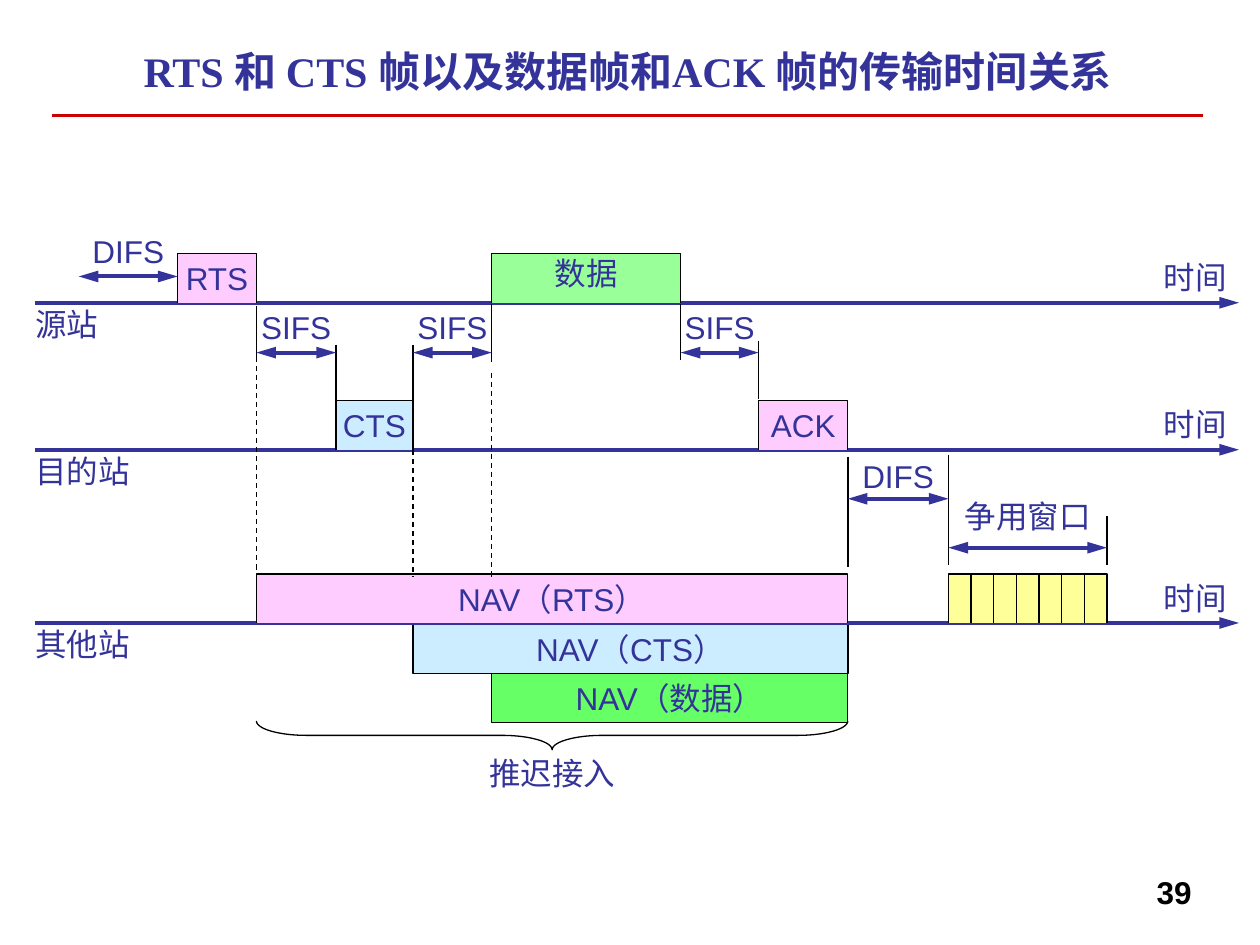
from dataclasses import dataclass

from lxml.etree import SubElement
from pptx import Presentation
from pptx.dml.color import RGBColor
from pptx.enum.dml import MSO_LINE
from pptx.enum.shapes import MSO_CONNECTOR, MSO_SHAPE
from pptx.enum.text import MSO_ANCHOR, PP_ALIGN
from pptx.oxml.ns import qn
from pptx.util import Pt


@dataclass(frozen=True)
class Theme:
    ink: str = "333399"
    black: str = "000000"
    rule: str = "CC0000"
    pink: str = "FFCCFF"
    blue: str = "CCECFF"
    pale_green: str = "99FF99"
    green: str = "66FF66"
    yellow: str = "FFFF99"
    title_font: str = "Times New Roman"
    body_font: str = "Arial"
    title_size: float = 24
    body_size: float = 18
    thin: float = 0.75
    rule_width: float = 2
    thick: float = 2.25


@dataclass(frozen=True)
class Moments:
    """Horizontal offsets of the events from the left end of the time axes."""
    difs: float = 25
    rts: float = 81.5
    rts_end: float = 126.5
    cts: float = 172
    cts_end: float = 216
    data: float = 261
    data_end: float = 369
    ack: float = 413.5
    ack_end: float = 464.5
    window: float = 522
    window_end: float = 612.5


@dataclass(frozen=True)
class Box:
    left: float
    top: float
    width: float
    height: float

    @property
    def right(self):
        return self.left + self.width

    @property
    def bottom(self):
        return self.top + self.height


THEME = Theme()
AT = Moments()
FRAME_HEIGHT = 28
LABEL_HEIGHT = 29
WINDOW_SLOTS = 7


def write(shape, text, align=PP_ALIGN.CENTER, font_name=THEME.body_font,
          size=THEME.body_size, color=THEME.ink, bold=False, wrap=False):
    frame = shape.text_frame
    frame.word_wrap = wrap
    frame.vertical_anchor = MSO_ANCHOR.MIDDLE
    frame.margin_left = frame.margin_right = 0
    frame.margin_top = frame.margin_bottom = 0
    paragraph = frame.paragraphs[0]
    paragraph.alignment = align
    run = paragraph.add_run()
    run.text = text
    run.font.name = font_name
    run.font.size = Pt(size)
    run.font.bold = bold
    run.font.color.rgb = RGBColor.from_string(color)


def add_text(slide, box, text, **style):
    shape = slide.shapes.add_textbox(Pt(box.left), Pt(box.top), Pt(box.width), Pt(box.height))
    write(shape, text, **style)


def add_line(slide, start, end, color=THEME.black, width=THEME.thin, dashed=False, heads=()):
    """Draw a line; heads names its arrow ends, headEnd before tailEnd."""
    line = slide.shapes.add_connector(
        MSO_CONNECTOR.STRAIGHT, *(Pt(value) for value in (*start, *end)))
    line.line.color.rgb = RGBColor.from_string(color)
    line.line.width = Pt(width)
    if dashed:
        line.line.dash_style = MSO_LINE.DASH
    for head in heads:
        SubElement(line.line._get_or_add_ln(), qn("a:" + head), type="triangle", w="med", len="lg")
    SubElement(line._element.spPr, qn("a:effectLst"))


def add_frame(slide, box, fill, text="", open_top=False, lift=0):
    """Draw a filled block whose side on the time axis has no line."""
    base, far = (box.top, box.bottom) if open_top else (box.bottom, box.top)
    builder = slide.shapes.build_freeform(Pt(box.left), Pt(base))
    corners = [(box.left, far), (box.right, far), (box.right, base)]
    builder.add_line_segments([(Pt(x), Pt(y)) for x, y in corners], close=False)
    shape = builder.convert_to_shape()
    shape.shadow.inherit = False
    shape.fill.solid()
    shape.fill.fore_color.rgb = RGBColor.from_string(fill)
    shape.line.color.rgb = RGBColor.from_string(THEME.black)
    shape.line.width = Pt(THEME.thin)
    if text:
        write(shape, text)
        shape.text_frame.margin_bottom = Pt(2 * lift)


def add_title(slide, box):
    add_text(slide, Box(box.left, box.top, box.width, box.height - 3.6),
             "RTS 和 CTS 帧以及数据帧和ACK 帧的传输时间关系",
             font_name=THEME.title_font, size=THEME.title_size, bold=True, wrap=True)
    add_line(slide, (box.left, box.bottom), (box.right, box.bottom),
             THEME.rule, THEME.rule_width)


def add_lane(slide, box, station, frames):
    """Draw a time axis along the box bottom, with its frames standing on it."""
    add_line(slide, (box.left, box.bottom), (box.right, box.bottom),
             THEME.ink, THEME.thick, heads=["tailEnd"])
    add_text(slide, Box(box.right - 50, box.bottom - LABEL_HEIGHT, 50, LABEL_HEIGHT), "时间")
    add_text(slide, Box(box.left, box.bottom - 2.5, 60, LABEL_HEIGHT), station,
             align=PP_ALIGN.LEFT)
    for start, end, fill, text, lift in frames:
        frame_box = Box(box.left + start, box.bottom - FRAME_HEIGHT, end - start, FRAME_HEIGHT)
        add_frame(slide, frame_box, fill, text, lift=lift)


def add_window_slots(slide, box):
    slot = box.width / WINDOW_SLOTS
    for index in range(1, WINDOW_SLOTS):
        x = box.left + index * slot
        add_line(slide, (x, box.top), (x, box.bottom))


def add_deferral(slide, box):
    """Stack the later NAV blocks below the axis, with the brace under them."""
    blocks = [(AT.cts_end, THEME.blue, "NAV（CTS）"), (AT.data, THEME.green, "NAV（数据）")]
    for row, (start, fill, text) in enumerate(blocks):
        offset = start - AT.rts_end
        add_frame(slide, Box(box.left + offset, box.top + row * FRAME_HEIGHT,
                             box.width - offset, FRAME_HEIGHT), fill, text, open_top=True)
    depth = 16.5
    brace_top = box.top + len(blocks) * FRAME_HEIGHT - 1
    center = box.left + box.width / 2
    brace = slide.shapes.add_shape(
        MSO_SHAPE.RIGHT_BRACE, Pt(center - depth / 2),
        Pt(brace_top + depth / 2 - box.width / 2), Pt(depth), Pt(box.width))
    brace.rotation = 90
    brace.adjustments[0] = 1.74
    brace.shadow.inherit = False
    brace.fill.background()
    brace.line.color.rgb = RGBColor.from_string(THEME.black)
    brace.line.width = Pt(THEME.thin)
    add_text(slide, Box(center - 45, box.bottom - LABEL_HEIGHT, 90, LABEL_HEIGHT), "推迟接入")


def add_guides(slide, box):
    guides = [
        (AT.rts_end, 47, 79, False), (AT.rts_end, 81, 198, True),
        (AT.cts, 69, 102, False), (AT.cts_end, 69, 102, False), (AT.cts_end, 129, 202, True),
        (AT.data, 46, 79, False), (AT.data, 85, 202, True),
        (AT.data_end, 46, 78, False), (AT.ack, 67, 100, False),
        (AT.ack_end, 133, 196, False), (AT.window, 132, 195, False),
        (AT.window_end, 167, 195, False),
    ]
    for x, top, bottom, dashed in guides:
        add_line(slide, (box.left + x, box.top + top), (box.left + x, box.top + bottom),
                 dashed=dashed)


def add_intervals(slide, box):
    intervals = [
        (AT.difs, AT.rts, 30, "DIFS", 0), (AT.rts_end, AT.cts, 73.5, "SIFS", 0),
        (AT.cts_end, AT.data, 73.5, "SIFS", 0), (AT.data_end, AT.ack, 73.5, "SIFS", 0),
        (AT.ack_end, AT.window, 157, "DIFS", -1.5), (AT.window, AT.window_end, 185, "争用窗口", 3.5),
    ]
    for start, end, height, text, gap in intervals:
        y = box.top + height
        add_line(slide, (box.left + start, y), (box.left + end, y),
                 THEME.ink, THEME.thick, heads=["headEnd", "tailEnd"])
        add_text(slide, Box(box.left + start, y - gap - LABEL_HEIGHT, end - start, LABEL_HEIGHT),
                 text)


def add_timing_diagram(slide, box):
    lanes = [
        (45, "源站", [(AT.rts, AT.rts_end, THEME.pink, "RTS", 0),
                    (AT.data, AT.data_end, THEME.pale_green, "数据", 3)]),
        (129, "目的站", [(AT.cts, AT.cts_end, THEME.blue, "CTS", 0),
                      (AT.ack, AT.ack_end, THEME.pink, "ACK", 0)]),
        (228, "其他站", [(AT.rts_end, AT.ack_end, THEME.pink, "NAV（RTS）", 0),
                      (AT.window, AT.window_end, THEME.yellow, "", 0)]),
    ]
    for axis, station, frames in lanes:
        add_lane(slide, Box(box.left, box.top + axis - 45, box.width, 45), station, frames)
    axis = box.top + lanes[-1][0]
    add_window_slots(slide, Box(box.left + AT.window, axis - FRAME_HEIGHT,
                                AT.window_end - AT.window, FRAME_HEIGHT))
    add_deferral(slide, Box(box.left + AT.rts_end, axis + 1,
                            AT.ack_end - AT.rts_end, box.bottom - axis - 1))
    add_guides(slide, box)
    add_intervals(slide, box)


def main():
    presentation = Presentation()
    presentation.slide_width, presentation.slide_height = Pt(720), Pt(540)
    slide = presentation.slides.add_slide(presentation.slide_layouts[6])
    add_title(slide, Box(30, 18, 657.5, 48))
    add_timing_diagram(slide, Box(20, 128, 688, 328))
    add_text(slide, Box(521, 495, 160, 29), "39", align=PP_ALIGN.RIGHT,
             color=THEME.black, bold=True)
    presentation.save("out.pptx")


if __name__ == "__main__":
    main()
